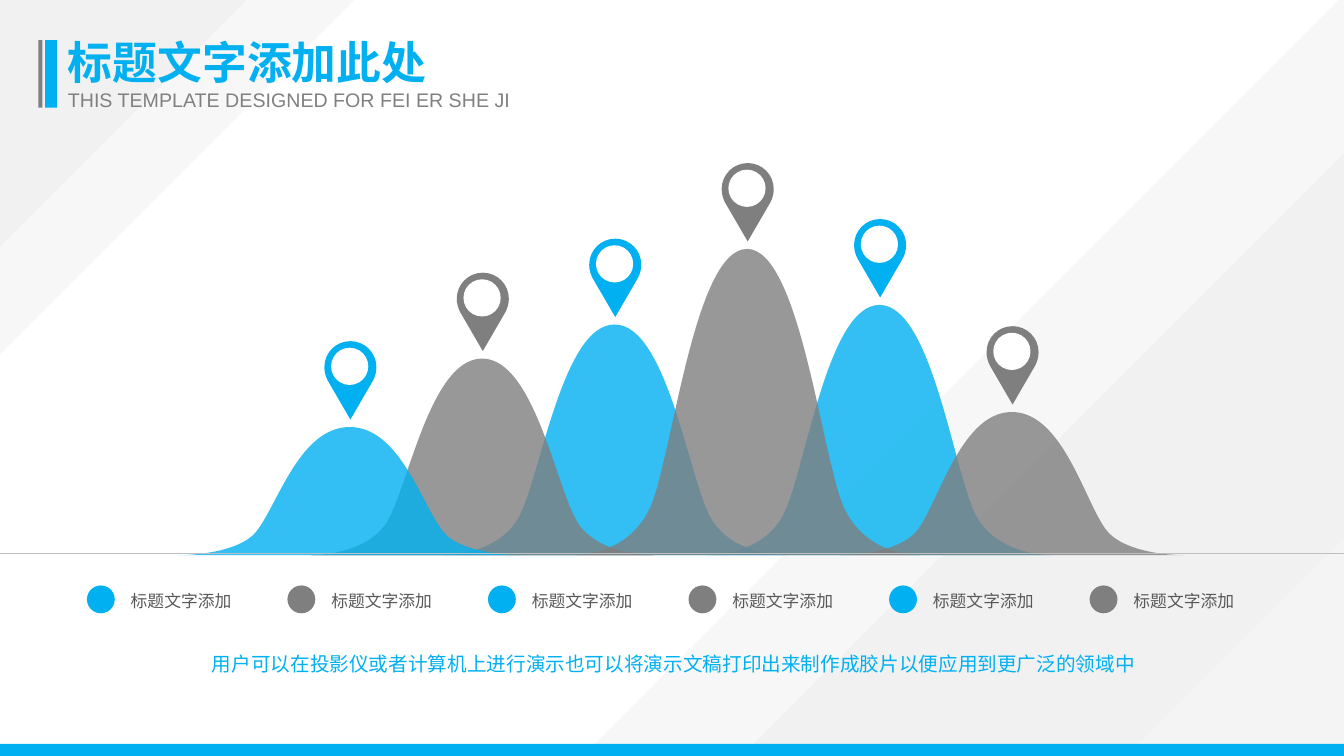
from dataclasses import dataclass

from lxml.etree import SubElement
from pptx import Presentation
from pptx.dml.color import RGBColor
from pptx.enum.shapes import MSO_CONNECTOR, MSO_SHAPE
from pptx.enum.text import MSO_AUTO_SIZE, PP_ALIGN
from pptx.oxml.ns import qn
from pptx.util import Pt


@dataclass(frozen=True)
class Theme:
    """Colours, fonts and type sizes of the deck."""
    blue: str = "00B0F0"
    gray: str = "7F7F7F"
    soft: str = "808080"
    ink: str = "595959"
    rule: str = "BFBFBF"
    pale: str = "D9D9D9"
    white: str = "FFFFFF"
    latin: str = "Arial"
    han: str = "Noto Sans CJK SC"
    title: int = 32
    body: int = 14
    label: int = 12


def mirror(half):
    """Close a left half outline with its right half."""
    return half + [(-x, y) for x, y in reversed(half[:-1])]


def bend(shape, lead):
    """Turn each three line ends after the lead into one cubic curve."""
    track = shape._element.find(".//" + qn("a:path"))
    lines = track.findall(qn("a:lnTo"))[lead:]
    for i in range(0, len(lines), 3):
        cubic = SubElement(track, qn("a:cubicBezTo"))
        lines[i].addprevious(cubic)
        for line in lines[i:i + 3]:
            cubic.append(line[0])
            track.remove(line)


class Painter:
    """Draw elements on one slide in one style."""

    def __init__(self, slide, theme):
        self.slide = slide
        self.theme = theme

    def paint(self, shape, color, alpha=100):
        """Give a shape a plain fill without line or shadow."""
        shape.shadow.inherit = False
        shape.line.fill.background()
        shape.fill.solid()
        shape.fill.fore_color.rgb = RGBColor.from_string(color)
        if alpha < 100:
            tone = shape.fill._xPr.find(".//" + qn("a:srgbClr"))
            SubElement(tone, qn("a:alpha"), val=str(alpha * 1000))

    def shape(self, kind, box, color):
        """Add a filled preset shape."""
        self.paint(self.slide.shapes.add_shape(kind, *map(Pt, box)), color)

    def outline(self, dots, color, alpha=100):
        """Add a filled closed outline and return it."""
        first, *rest = [(Pt(x), Pt(y)) for x, y in dots]
        pen = self.slide.shapes.build_freeform(*first, scale=1)
        pen.add_line_segments(rest, close=True)
        shape = pen.convert_to_shape()
        self.paint(shape, color, alpha)
        return shape

    def line(self, start, end, color, width):
        """Add a straight line."""
        link = self.slide.shapes.add_connector(
            MSO_CONNECTOR.STRAIGHT, *map(Pt, start + end))
        link.line.color.rgb = RGBColor.from_string(color)
        link.line.width = Pt(width)
        SubElement(link._element.spPr, qn("a:effectLst"))

    def text(self, box, words, size, color, face=None, bold=False, **form):
        """Add a wrapped text box with one paragraph."""
        face = face or self.theme.latin
        frame = self.slide.shapes.add_textbox(*map(Pt, box)).text_frame
        frame.word_wrap = True
        frame.auto_size = MSO_AUTO_SIZE.SHAPE_TO_FIT_TEXT
        para = frame.paragraphs[0]
        for name, value in form.items():
            setattr(para, name, value)
        run = para.add_run()
        run.text = words
        style = {"name": face, "size": Pt(size), "bold": bold}
        for name, value in style.items():
            setattr(run.font, name, value)
        run.font.color.rgb = RGBColor.from_string(color)
        SubElement(run._r.rPr, qn("a:ea"), typeface=face)

    def bell(self, mid, top, base, color):
        """Add a see-through bell that stands on the base line."""
        half = [(-122.7, 0), (-121, 0), (-85.7, 0), (-69.8, 0.15),
                (-53.8, 0.3), (-38.3, 1), (0, 1)]
        dots = [(mid + x, base - y * (base - top)) for x, y in mirror(half)]
        bend(self.outline(dots, color, 80), 0)

    def pin(self, mid, top, color):
        """Add a map pin with a round hole."""
        half = [(0, 56), (-16.2, 28.1), (-17.6, 25.4), (-18.6, 22.1),
                (-18.6, 18.6), (-18.6, 8.3), (-10.3, 0), (0, 0)]
        dots = [(mid + 0.5 + x, top + y) for x, y in mirror(half)[:-1]]
        bend(self.outline(dots, color), 1)
        self.shape(MSO_SHAPE.OVAL, (mid - 13.3, top + 4.7, 26.6, 26.6),
                   self.theme.white)


def main():
    """Build the slide and save it."""
    deck = Presentation()
    wide, high = 960, 540
    deck.slide_width, deck.slide_height = Pt(wide), Pt(high)
    theme = Theme()
    art = Painter(deck.slides.add_slide(deck.slide_layouts[6]), theme)

    for side in (253, 176):
        art.outline([(0, 0), (side, 0), (0, side)], theme.pale, 20)
    for side, color, alpha in ((544, theme.pale, 20), (430, theme.pale, 20),
                               (156, theme.white, 25)):
        art.outline([(wide, high - side), (wide, high), (wide - side, high)],
                    color, alpha)
    art.shape(MSO_SHAPE.RECTANGLE, (0, 531.3, wide, 8.7), theme.blue)

    base = 396.6
    tops = (305, 256.1, 231.8, 177.8, 217.8, 294.3)
    peaks = [(249.8 + 94.6 * i, top, (theme.blue, theme.gray)[i % 2])
             for i, top in enumerate(tops)]
    for i in (2, 4, 5, 1, 0, 3):
        mid, top, color = peaks[i]
        art.bell(mid, top, base, color)
    art.line((0, 395.3), (wide, 395.3), theme.rule, 0.5)

    for i, (mid, top, color) in enumerate(peaks):
        left = 62.1 + 143.25 * i
        art.pin(mid, top - 61.3, color)
        art.shape(MSO_SHAPE.OVAL, (left, 418.2, 19.9, 19.9), color)
        art.text((left + 24.2, 415.4, 102.2, 24.5), "标题文字添加",
                 theme.label, theme.ink, line_spacing=1.2)

    art.text((41.4, 20.9, 293, 46), "标题文字添加此处", theme.title,
             theme.blue, theme.han, True)
    art.text((41.4, 59.6, 384.5, 24.2),
             "THIS TEMPLATE DESIGNED FOR FEI ER SHE JI",
             theme.body, theme.soft)
    for left, width, color in ((32.2, 8.6, theme.blue),
                               (27.4, 2.9, theme.soft)):
        art.shape(MSO_SHAPE.RECTANGLE, (left, 28.7, width, 48.2), color)
    art.text((72, 458.6, 818.6, 27.4),
             "用户可以在投影仪或者计算机上进行演示也可以将演示文稿打印出来"
             "制作成胶片以便应用到更广泛的领域中",
             theme.body, theme.blue, line_spacing=1.2,
             alignment=PP_ALIGN.CENTER)
    deck.save("out.pptx")


if __name__ == "__main__":
    main()
